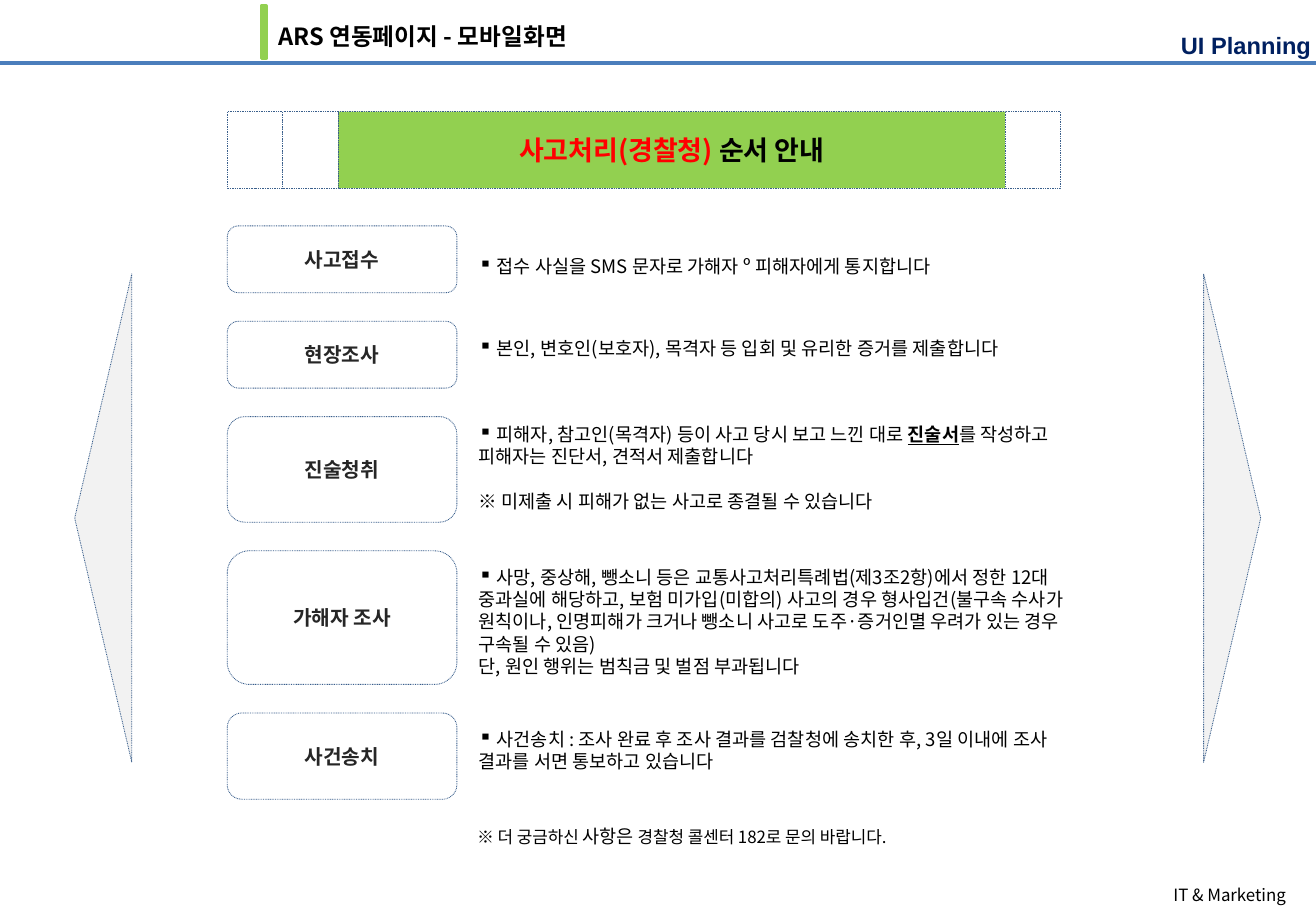
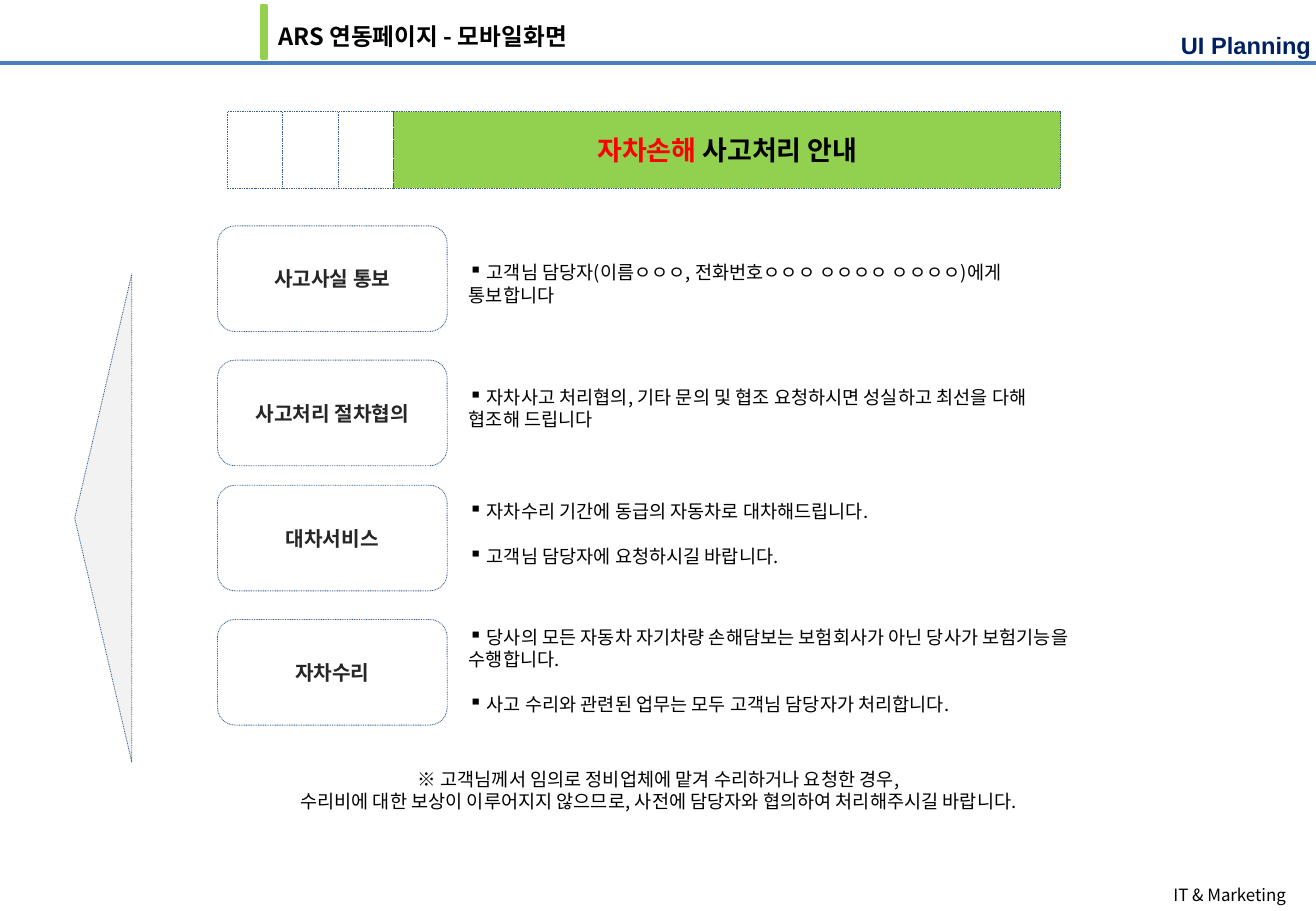
import pptx
import pptx.util
import pptx.dml.color
import pptx.enum.dml
import pptx.enum.shapes
import pptx.enum.text
import pptx.oxml.ns
from collections import namedtuple
from lxml import etree

# Grid: one column or row is a tenth of an inch
CELL = pptx.util.Inches(0.1)
COLUMNS, ROWS = 108.3, 75
COLORS = {
    "ink": "000000", "label": "262626", "accent": "FF0000", "brand": "002060",
    "green": "92D050", "rule": "4B7EBC", "outline": "3A5F8C",
    "white": "FFFFFF", "arrow": "F2F2F2",
}
KOREAN, LATIN = "Noto Sans CJK KR", "Arial"
LEADING = 1.21
PARAGRAPH_GAP = 13.3
SHAPE = pptx.enum.shapes.MSO_SHAPE
ALIGN = pptx.enum.text.PP_ALIGN
ANCHOR = pptx.enum.text.MSO_ANCHOR

Box = namedtuple("Box", "left top width height")
Span = namedtuple("Span", "text size color bold underline", defaults=(11, "ink", False, False))
Para = namedtuple("Para", "spans bullet gap", defaults=(False, 0))
Step = namedtuple("Step", "label height drop width lines paras gap", defaults=(2.35,))


def grid(box):
    return [round(value * CELL) for value in box]


def color(name):
    return pptx.dml.color.RGBColor.from_string(COLORS[name])


def drawing(parent, tag, **attributes):
    return etree.SubElement(parent, pptx.oxml.ns.qn("a:" + tag), **attributes)


# Text
def write(frame, paras, align=ALIGN.LEFT, anchor=ANCHOR.TOP, wrap=True, font=KOREAN):
    frame.word_wrap = wrap
    frame.vertical_anchor = anchor
    for index, content in enumerate(paras):
        para = frame.add_paragraph() if index else frame.paragraphs[0]
        para.alignment = align
        para.space_before = pptx.util.Pt(content.gap)
        if font == KOREAN:
            largest = max(part.size for part in content.spans)
            para.line_spacing = pptx.util.Pt(round(largest * LEADING, 1))
        if content.bullet:
            drawing(para._p.get_or_add_pPr(), "buChar", char="▪")
        for part in content.spans:
            span = para.add_run()
            span.text = part.text
            span.font.size = pptx.util.Pt(part.size)
            span.font.bold = part.bold
            span.font.underline = part.underline
            span.font.color.rgb = color(part.color)
            span.font.name = font
            drawing(span._r.get_or_add_rPr(), "ea", typeface=font)


def add_text(page, box, paras, **style):
    text = page.shapes.add_textbox(*grid(box))
    write(text.text_frame, paras, **style)
    return text


def add_panel(page, kind, box, fill=None, line="outline", weight=0.5, dotted=True):
    panel = page.shapes.add_shape(kind, *grid(box))
    panel.shadow.inherit = False
    if fill:
        panel.fill.solid()
        panel.fill.fore_color.rgb = color(fill)
    else:
        panel.fill.background()
    panel.line.color.rgb = color(line)
    panel.line.width = pptx.util.Pt(weight)
    if dotted:
        panel.line.dash_style = pptx.enum.dml.MSO_LINE.ROUND_DOT
    return panel


def add_label(page, kind, box, spans, fill=None):
    panel = add_panel(page, kind, box, fill)
    write(panel.text_frame, [Para(spans)], align=ALIGN.CENTER, anchor=ANCHOR.MIDDLE)


# Shared header and footer, held by the layout
def furnish_layout(layout, page):
    footer = add_text(page, Box(95.1, 72.3, 11.7, 2.7), [Para([Span("IT & Marketing", 10)])],
                      align=ALIGN.RIGHT, wrap=False)
    section = add_text(page, Box(91.6, 2.2, 16.9, 3),
                       [Para([Span("UI Planning", 14, "brand", True)])],
                       align=ALIGN.RIGHT, anchor=ANCHOR.MIDDLE, font=LATIN)
    frame = section.text_frame
    frame.margin_left = frame.margin_right = pptx.util.Inches(0.06)
    frame.margin_top = frame.margin_bottom = pptx.util.Inches(0.03)
    marker = add_panel(page, SHAPE.RECTANGLE, Box(21.5, 0.5, 0.4, 4.3), "green", "green", 2, False)
    rule = page.shapes.add_connector(pptx.enum.shapes.MSO_CONNECTOR.STRAIGHT,
                                     *grid((0, 5.2, COLUMNS, 5.2)))
    rule.line.color.rgb = color("rule")
    rule.line.width = pptx.util.Pt(2)
    drawing(rule.element.spPr, "effectLst")
    for part in (footer, section, marker, rule):
        layout.shapes.element.append(part.element)
    title = layout.placeholders[0]
    title.left, title.top, title.width, title.height = grid(Box(21.9, 1.3, 28.3, 3.4))


def add_title(page):
    write(page.shapes.title.text_frame,
          [Para([Span("ARS 연동페이지 - 모바일화면", 14, bold=True)])], wrap=False)


# Row of three blank tabs and one open tab
def add_tabs(page, box, active, spans):
    open_width = 0.8 * box.width
    tab_width = (box.width - open_width) / 3
    left = box.left
    for index in range(4):
        width = open_width if index == active else tab_width
        tab = Box(left, box.top, width, box.height)
        if index == active:
            add_label(page, SHAPE.RECTANGLE, tab, spans, "green")
        else:
            add_panel(page, SHAPE.RECTANGLE, tab, "white")
        left += width


# Column of step cards with their descriptions
def add_steps(page, left, top, steps):
    card_width, text_offset = 18.9, 19.7
    for step in steps:
        add_label(page, SHAPE.ROUNDED_RECTANGLE, Box(left, top, card_width, step.height),
                  [Span(step.label, 12, "label", True)])
        add_text(page, Box(left + text_offset, top + step.drop, step.width, 1 + 1.84 * step.lines),
                 step.paras)
        top += step.height + step.gap


# Side arrow: a triangle turned to point left or right
def add_arrow(page, center, rotation):
    length, depth = 40.2, 4.7
    middle = 42.65
    arrow = add_panel(page, SHAPE.ISOSCELES_TRIANGLE,
                      Box(center - length / 2, middle - depth / 2, length, depth), "arrow")
    arrow.rotation = rotation


def add_guide(page, active, heading, left, steps, note_box, note, arrows):
    add_title(page)
    add_tabs(page, Box(18.7, 9.2, 68.6, 6.3), active, heading)
    add_steps(page, left, 18.6, steps)
    add_text(page, note_box, note, align=ALIGN.CENTER)
    for center, rotation in arrows:
        add_arrow(page, center, rotation)


def item(text, gap=0):
    return Para([Span(" " + text)], True, gap)


LEFT_ARROW, RIGHT_ARROW = (8.5, 270), (101.4, 90)

POLICE_STEPS = [
    Step("사고접수", 5.5, 1.9, 49.3, 1, [item("접수 사실을 SMS 문자로 가해자 º 피해자에게 통지합니다")]),
    Step("현장조사", 5.5, 0.8, 51.2, 1,
         [item("본인, 변호인(보호자), 목격자 등 입회 및 유리한 증거를 제출합니다")]),
    Step("진술청취", 8.7, 0, 50.2, 4, [
        Para([Span(" 피해자, 참고인(목격자) 등이 사고 당시 보고 느낀 대로 "),
              Span("진술서", bold=True, underline=True),
              Span("를 작성하고 피해자는 진단서, 견적서 제출합니다")], True),
        Para([Span("※ 미제출 시 피해가 없는 사고로 종결될 수 있습니다")], gap=PARAGRAPH_GAP)]),
    Step("가해자 조사", 11, 0.7, 51.2, 5, [
        item("사망, 중상해, 뺑소니 등은 교통사고처리특례법(제3조2항)에서 정한 12대 중과실에 해당하고, "
             "보험 미가입(미합의) 사고의 경우 형사입건(불구속 수사가 원칙이나, 인명피해가 크거나 "
             "뺑소니 사고로 도주·증거인멸 우려가 있는 경우 구속될 수 있음)"),
        Para([Span("단, 원인 행위는 범칙금 및 벌점 부과됩니다")])]),
    Step("사건송치", 7.1, 0.7, 51.2, 2,
         [item("사건송치 : 조사 완료 후 조사 결과를 검찰청에 송치한 후, 3일 이내에 조사 결과를 "
               "서면 통보하고 있습니다")]),
]
POLICE_NOTE = [Para([Span("※ 더 궁금하신 ", 10), Span("사항은"),
                     Span(" 경찰청 콜센터 182로 문의 바랍니다.", 10)])]

OWN_DAMAGE_STEPS = [
    Step("사고사실 통보", 8.7, 2.4, 50.1, 2,
         [item("고객님 담당자(이름ㅇㅇㅇ, 전화번호ㅇㅇㅇ ㅇㅇㅇㅇ ㅇㅇㅇㅇ)에게 통보합니다")]),
    Step("사고처리 절차협의", 8.7, 1.6, 52, 2,
         [item("자차사고 처리협의, 기타 문의 및 협조 요청하시면 성실하고 최선을 다해 협조해 드립니다")], 1.6),
    Step("대차서비스", 8.7, 0.7, 52, 3, [
        item("자차수리 기간에 동급의 자동차로 대차해드립니다."),
        item("고객님 담당자에 요청하시길 바랍니다.", PARAGRAPH_GAP)]),
    Step("자차수리", 8.7, 0, 52, 4, [
        item("당사의 모든 자동차 자기차량 손해담보는 보험회사가 아닌 당사가 보험기능을 수행합니다."),
        item("사고 수리와 관련된 업무는 모두 고객님 담당자가 처리합니다.", PARAGRAPH_GAP)]),
]
OWN_DAMAGE_NOTE = [
    Para([Span("※ 고객님께서 임의로 정비업체에 맡겨 수리하거나 요청한 경우,")]),
    Para([Span("수리비에 대한 보상이 이루어지지 않으므로, 사전에 담당자와 협의하여 처리해주시길 바랍니다.")]),
]


def main():
    deck = pptx.Presentation()
    deck.slide_width, deck.slide_height = grid((COLUMNS, ROWS))
    layout = deck.slide_layouts.get_by_name("Title Only")
    police, own_damage = [deck.slides.add_slide(layout) for _ in range(2)]
    furnish_layout(layout, police)

    add_guide(police, 2,
              [Span("사고처리(경찰청)", 16, "accent", True), Span(" 순서 안내", 16, bold=True)],
              18.7, POLICE_STEPS, Box(19.5, 67.4, 73.2, 2.9), POLICE_NOTE,
              [RIGHT_ARROW, LEFT_ARROW])
    add_guide(own_damage, 3,
              [Span("자차손해", 16, "accent", True), Span(" 사고처리 안내", 16, bold=True)],
              17.9, OWN_DAMAGE_STEPS, Box(17.2, 62.7, 74, 4.7), OWN_DAMAGE_NOTE,
              [LEFT_ARROW])
    deck.save("out.pptx")


if __name__ == "__main__":
    main()
